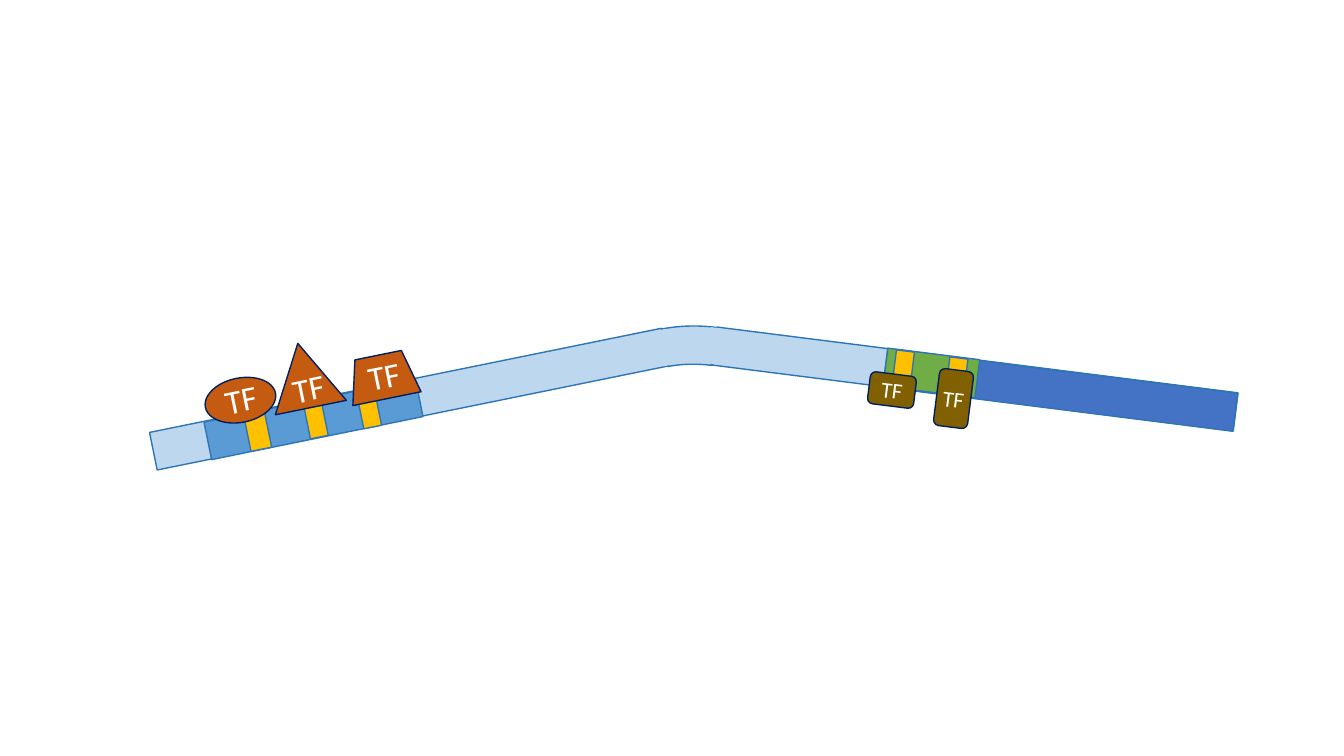
from pptx import Presentation
from pptx.dml.color import RGBColor
from pptx.enum.shapes import MSO_SHAPE
from pptx.enum.text import MSO_ANCHOR, MSO_AUTO_SIZE, PP_ALIGN
from pptx.util import Pt

RECTANGLE = MSO_SHAPE.RECTANGLE
ROUNDED = MSO_SHAPE.ROUNDED_RECTANGLE
ARC = MSO_SHAPE.BLOCK_ARC
TRIANGLE = MSO_SHAPE.ISOSCELES_TRIANGLE
TRAPEZOID = MSO_SHAPE.TRAPEZOID
OVAL = MSO_SHAPE.OVAL
MIDDLE = MSO_ANCHOR.MIDDLE
GROW = MSO_AUTO_SIZE.SHAPE_TO_FIT_TEXT
LEFT, CENTER = PP_ALIGN.LEFT, PP_ALIGN.CENTER

COLORS = {
    "strand": "BDD7EE",
    "gene": "4472C4",
    "promoter": "70AD47",
    "enhancer": "5B9BD5",
    "site": "FFC000",
    "basal_factor": "806000",
    "activator": "C55A11",
    "edge": "2E75B6",
    "factor_edge": "002060",
    "label": "FFFFFF",
}
STRAND_HEIGHT = 27.4
RIGHT_TILT = 7.2
LEFT_TILT = -11.5


def color(name):
    return RGBColor.from_string(COLORS[name])


def write(box, text, size, align=LEFT, name="label"):
    para = box.text_frame.paragraphs[0]
    para.alignment = align
    span = para.add_run()
    span.text = text
    span.font.name = "Calibri"
    span.font.size = Pt(size)
    span.font.color.rgb = color(name)


class Diagram:
    def __init__(self, page):
        self.page = page
        self.line_width = Pt(1)

    def shape(self, kind, left, top, width, height, tilt, fill, edge="edge"):
        box = self.page.shapes.add_shape(kind, Pt(left), Pt(top), Pt(width), Pt(height))
        box.rotation = tilt
        box.shadow.inherit = False
        box.fill.solid()
        box.fill.fore_color.rgb = color(fill)
        if edge:
            box.line.color.rgb = color(edge)
            box.line.width = self.line_width
        else:
            box.line.fill.background()
        return box

    def band(self, left, top, width, tilt, fill):
        return self.shape(RECTANGLE, left, top, width, STRAND_HEIGHT, tilt, fill)

    def bend(self, left, top, width, height, tilt, adjustments):
        arc = self.shape(ARC, left, top, width, height, tilt, "strand")
        for index, value in enumerate(adjustments):
            arc.adjustments[index] = value

    def basal_factor(self, left, top, width, height):
        box = self.shape(ROUNDED, left, top, width, height, RIGHT_TILT,
                         "basal_factor", "factor_edge")
        frame = box.text_frame
        frame.margin_left = frame.margin_right = 0
        frame.margin_top = frame.margin_bottom = 0
        frame.vertical_anchor = MIDDLE
        write(box, "TF", 16, align=CENTER)

    def label(self, left, top, width):
        box = self.page.shapes.add_textbox(Pt(left), Pt(top), Pt(width), Pt(36))
        box.rotation = LEFT_TILT
        box.text_frame.word_wrap = True
        box.text_frame.auto_size = GROW
        write(box, "TF", 24)

    def activator(self, kind, frame, label):
        self.shape(kind, *frame, LEFT_TILT, "activator", "factor_edge")
        self.label(*label)

    def seam(self, left, top, tilt):
        self.shape(RECTANGLE, left, top, 7.2, 25.9, tilt, "strand", edge=None)


def main():
    deck = Presentation()
    deck.slide_width, deck.slide_height = Pt(960), Pt(540)
    diagram = Diagram(deck.slides.add_slide(deck.slide_layouts[6]))

    diagram.bend(406, 233.3, 193, 144.7, RIGHT_TILT, (139.526, 161.927, 0.189))
    for left, top, width, fill in (
        (509, 257, 375.1, "strand"),
        (631.4, 265, 252, "gene"),
        (632.2, 252.7, 66.2, "promoter"),
        (638.6, 250.6, 13, "site"),
        (676.8, 255.6, 13, "site"),
    ):
        diagram.band(left, top, width, RIGHT_TILT, fill)
    diagram.basal_factor(620.6, 267.1, 33.1, 23)
    diagram.basal_factor(668.9, 264.2, 24.5, 41)

    for left, top, width, fill in (
        (105.8, 271.4, 373, "strand"),
        (146.9, 285.8, 154.1, "enhancer"),
        (176.4, 293.8, 15.1, "site"),
        (218.9, 285.1, 13, "site"),
        (257, 277.9, 13, "site"),
    ):
        diagram.band(left, top, width, LEFT_TILT, fill)
    for kind, frame, label in (
        (TRIANGLE, (191.5, 244.8, 51.8, 46.8), (201.6, 257.8, 49)),
        (TRAPEZOID, (248.4, 253.4, 49.7, 31.7), (255.6, 249.1, 46.8)),
        (OVAL, (146.2, 270, 51.1, 31.7), (153.4, 265, 56.9)),
    ):
        diagram.activator(kind, frame, label)

    diagram.seam(506.2, 234, RIGHT_TILT)
    diagram.seam(470.9, 235.4, -12.2)
    deck.save("out.pptx")


if __name__ == "__main__":
    main()
